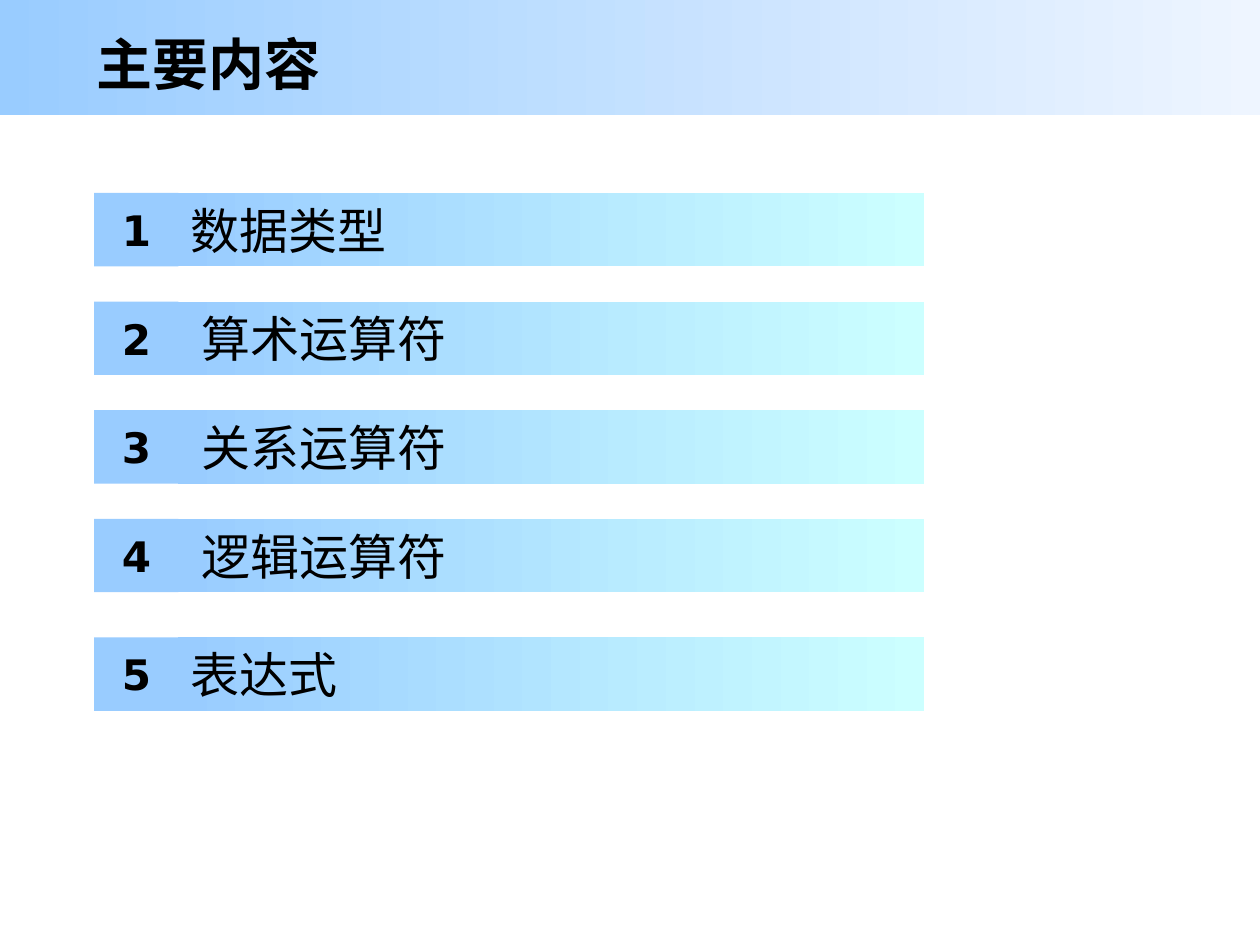
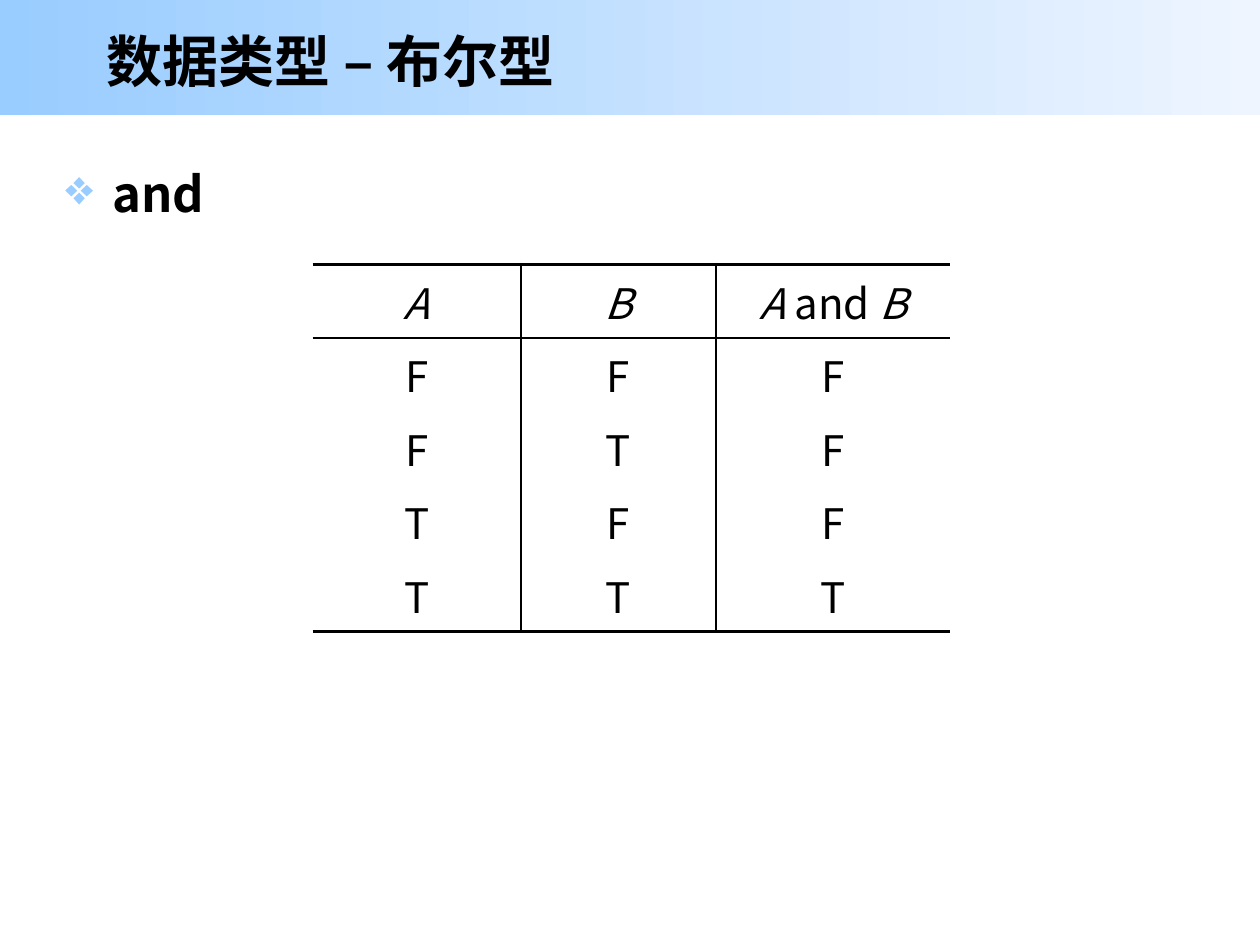
from pptx import Presentation
from pptx.dml.color import RGBColor
from pptx.enum.shapes import MSO_SHAPE
from pptx.enum.text import MSO_ANCHOR, PP_ALIGN
from pptx.oxml.ns import qn
from pptx.util import Cm, Pt
from lxml.etree import SubElement

COLORS = {"text": "000000", "blue": "99CCFF", "pale": "EEF5FF", "cyan": "CCFFFF"}
CJK_FONT = "Noto Sans CJK SC"
NUMBER_FONT = "DejaVu Sans"

TOPICS = ["数据类型", " 算术运算符", " 关系运算符", " 逻辑运算符", "表达式"]
FIRST_TOP, TOPIC_PITCH, LAST_TOP = 3.89, 2.19, 12.85

# Each cell is a list of (text, italic) runs.
TRUTH_HEADER = [
    [("A", True)],
    [("B", True)],
    [("A ", True), ("and ", False), ("B", True)],
]
TRUTH_ROWS = ["FFF", "FTF", "TFF", "TTT"]
COLUMN_WIDTHS = [4.2, 3.93, 4.73]
ROW_HEIGHT = 1.48


def rgb(name):
    return RGBColor.from_string(COLORS[name])


def write_text(text_frame, text, size, font=CJK_FONT, bold=False,
               align=PP_ALIGN.LEFT, anchor=MSO_ANCHOR.MIDDLE, bullet=None):
    """Write one paragraph; text is a string or a list of (text, italic) runs."""
    text_frame.word_wrap = True
    text_frame.vertical_anchor = anchor
    paragraph = text_frame.paragraphs[0]
    paragraph.alignment = align
    if bullet:
        add_bullet(paragraph, bullet)
    for content, italic in [(text, False)] if isinstance(text, str) else text:
        run = paragraph.add_run()
        run.text = content
        run.font.name = font
        run.font.size = Pt(size)
        run.font.bold = bold
        run.font.italic = italic
        run.font.color.rgb = rgb("text")
        east_asian = SubElement(run.font._element, qn("a:ea"))
        east_asian.set("typeface", font)


def add_bullet(paragraph, character):
    properties = paragraph._p.get_or_add_pPr()
    indent = Cm(0.95)
    properties.set("marL", str(indent))
    properties.set("indent", str(-indent))
    color = SubElement(properties, qn("a:buClr"))
    SubElement(color, qn("a:srgbClr")).set("val", COLORS["blue"])
    SubElement(properties, qn("a:buChar")).set("char", character)


def add_text(slide, text, left, top, width, height, **text_format):
    box = slide.shapes.add_textbox(Cm(left), Cm(top), Cm(width), Cm(height))
    write_text(box.text_frame, text, **text_format)


def add_band(slide, left, top, width, height, start, end=None):
    """Add a borderless rectangle, shaded from start to end if end is given."""
    band = slide.shapes.add_shape(
        MSO_SHAPE.RECTANGLE, Cm(left), Cm(top), Cm(width), Cm(height))
    band.shadow.inherit = False
    band.line.fill.background()
    if end:
        band.fill.gradient()
        band.fill.gradient_angle = 0
        for stop, name in zip(band.fill.gradient_stops, (start, end)):
            stop.color.rgb = rgb(name)
    else:
        band.fill.solid()
        band.fill.fore_color.rgb = rgb(start)
    return band


def add_titled_slide(presentation, title, left, top, width):
    slide = presentation.slides.add_slide(presentation.slide_layouts[6])
    add_band(slide, 0, 0, 25.4, 2.33, "blue", "pale")
    add_text(slide, title, left, top, width, 1.7, size=32, bold=True)
    return slide


def add_topic(slide, number, topic, top):
    bar = add_band(slide, 3.59, top, 15.04, 1.48, "blue", "cyan")
    write_text(bar.text_frame, topic, size=28)
    tile = add_band(slide, 1.9, top, 1.7, 1.48, "blue")
    write_text(tile.text_frame, str(number), size=24, font=NUMBER_FONT,
               bold=True, align=PP_ALIGN.CENTER)


def set_borders(cell, **widths):
    """Set the borders L, R, T and B in points; a side left out has no line."""
    properties = cell._tc.get_or_add_tcPr()
    for side in "LRTB":
        line = SubElement(properties, qn(f"a:ln{side}"))
        if side in widths:
            line.set("w", str(Pt(widths[side])))
            fill = SubElement(line, qn("a:solidFill"))
            SubElement(fill, qn("a:srgbClr")).set("val", COLORS["text"])
        else:
            SubElement(line, qn("a:noFill"))


def add_truth_table(slide, left, top):
    rows = [TRUTH_HEADER] + [[[(value, False)] for value in row] for row in TRUTH_ROWS]
    last_row, last_column = len(rows) - 1, len(COLUMN_WIDTHS) - 1
    table = slide.shapes.add_table(
        len(rows), len(COLUMN_WIDTHS), Cm(left), Cm(top),
        Cm(sum(COLUMN_WIDTHS)), Cm(ROW_HEIGHT * len(rows))).table
    table.first_row = table.horz_banding = False
    for column, width in zip(table.columns, COLUMN_WIDTHS):
        column.width = Cm(width)
    for r, row in enumerate(rows):
        table.rows[r].height = Cm(ROW_HEIGHT)
        for c, runs in enumerate(row):
            cell = table.cell(r, c)
            borders = {}
            if c > 0:
                borders["L"] = 1
            if c < last_column:
                borders["R"] = 1
            if r in (0, 1):
                borders["T"] = 2.25 if r == 0 else 1
            if r in (0, last_row):
                borders["B"] = 1 if r == 0 else 2.25
            set_borders(cell, **borders)
            cell.fill.background()
            write_text(cell.text_frame, runs, size=24, align=PP_ALIGN.CENTER)


def main():
    presentation = Presentation()
    presentation.slide_width, presentation.slide_height = Cm(25.4), Cm(19.05)

    contents = add_titled_slide(presentation, "主要内容", 1.7, 0.43, 22.86)
    tops = [FIRST_TOP + TOPIC_PITCH * i for i in range(len(TOPICS) - 1)] + [LAST_TOP]
    for number, (topic, top) in enumerate(zip(TOPICS, tops), 1):
        add_topic(contents, number, topic, top)

    boolean = add_titled_slide(presentation, "数据类型 – 布尔型", 1.9, 0.36, 20.68)
    add_text(boolean, "and", 1.07, 3.18, 23.5, 1.8, size=28, bold=True,
             anchor=MSO_ANCHOR.TOP, bullet="❖")
    add_truth_table(boolean, 6.3, 5.33)

    presentation.save("out.pptx")


if __name__ == "__main__":
    main()
